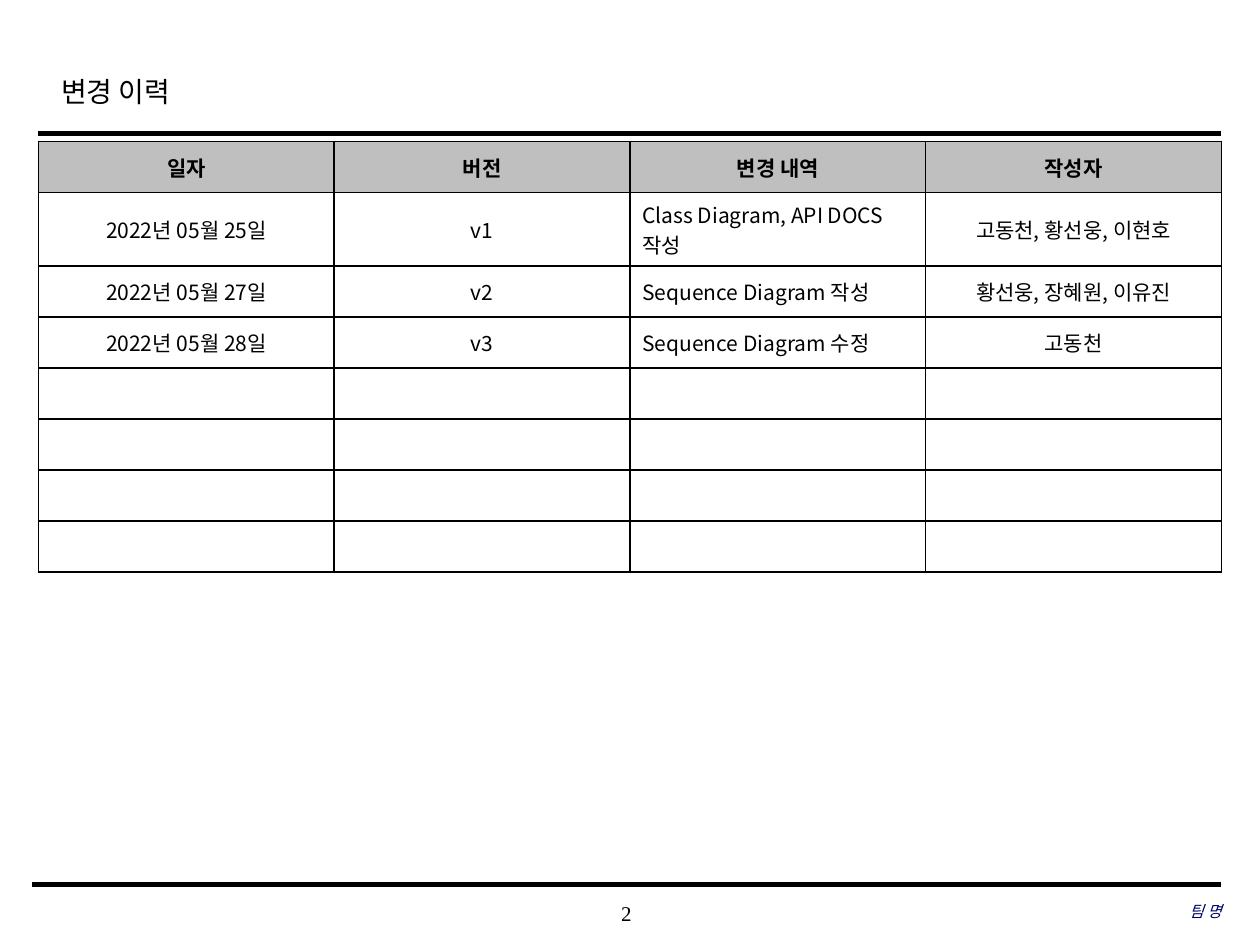
import pptx
import pptx.util
import pptx.dml.color
import pptx.enum.text
import pptx.enum.shapes
import pptx.oxml.ns
import lxml.etree

Pt = pptx.util.Pt
ALIGN = pptx.enum.text.PP_ALIGN
MIDDLE = pptx.enum.text.MSO_ANCHOR.MIDDLE
SANS = "Noto Sans CJK KR"
SERIF = "Times New Roman"
HEADS = ["일자", "버전", "변경 내역", "작성자"]
LOG = [
    ["2022년 05월 25일", "v1", "Class Diagram, API DOCS 작성", "고동천, 황선웅, 이현호"],
    ["2022년 05월 27일", "v2", "Sequence Diagram 작성", "황선웅, 장혜원, 이유진"],
    ["2022년 05월 28일", "v3", "Sequence Diagram 수정", "고동천"],
]
SPARE = 4


def color(code):
    """Turn a hex string into a colour."""
    return pptx.dml.color.RGBColor.from_string(code)


def node(parent, tag, **attrs):
    """Append a DrawingML element."""
    return lxml.etree.SubElement(parent, pptx.oxml.ns.qn(tag), **attrs)


def write(frame, text, size, face=SERIF, align=ALIGN.LEFT, ink="000000", bold=False, italic=False):
    """Fill a text frame with one formatted paragraph."""
    frame.text = text
    para = frame.paragraphs[0]
    para.alignment = align
    for run in para.runs:
        font = run.font
        font.size, font.name = Pt(size), face
        font.bold, font.italic = bold, italic
        font.color.rgb = color(ink)
        node(font._element, "a:ea", typeface=SANS)


def add_title(slide, text):
    """Place and format the title."""
    title = slide.shapes.title
    title.left, title.top, title.width, title.height = Pt(27.8), Pt(32.5), Pt(543.6), Pt(36)
    write(title.text_frame, text, 16)
    title.text_frame.vertical_anchor = MIDDLE
    title.text_frame.paragraphs[0].line_spacing = 1.2


def add_rule(slide, left, right, y, width):
    """Draw a horizontal rule."""
    kind = pptx.enum.shapes.MSO_CONNECTOR.STRAIGHT
    rule = slide.shapes.add_connector(kind, Pt(left), Pt(y), Pt(right), Pt(y))
    rule.line.color.rgb = color("000000")
    rule.line.width = Pt(width)
    node(rule._element.spPr, "a:effectLst")


def add_label(slide, text, left, top, width, size, **style):
    """Add a footer text box without margins."""
    frame = slide.shapes.add_textbox(Pt(left), Pt(top), Pt(width), Pt(23.8)).text_frame
    frame.word_wrap = True
    frame.vertical_anchor = MIDDLE
    frame.margin_left = frame.margin_right = frame.margin_top = frame.margin_bottom = 0
    write(frame, text, size, **style)


def add_border(cell):
    """Outline a cell in black."""
    props = cell._tc.get_or_add_tcPr()
    for side in ("a:lnL", "a:lnR", "a:lnT", "a:lnB"):
        line = node(props, side, w=str(Pt(1)))
        node(node(line, "a:solidFill"), "a:srgbClr", val="000000")


def add_log(slide):
    """Add the change history table, with a taller row for the wrapped entry."""
    rows = [HEADS] + LOG + [[""] * len(HEADS)] * SPARE
    shape = slide.shapes.add_table(len(rows), len(HEADS), Pt(22), Pt(80.8), Pt(676), Pt(233.2))
    table = shape.table
    table.rows[1].height = Pt(42)
    for r, row in enumerate(rows):
        for c, text in enumerate(row):
            cell = table.cell(r, c)
            align = ALIGN.LEFT if r and c == 2 else ALIGN.CENTER
            write(cell.text_frame, text, 12, SANS, align, bold=r == 0)
            cell.vertical_anchor = MIDDLE
            add_border(cell)
            cell.fill.solid()
            cell.fill.fore_color.rgb = color("FFFFFF" if r else "BFBFBF")


def main():
    """Build and save the slide."""
    deck = pptx.Presentation()
    deck.slide_width, deck.slide_height = Pt(720), Pt(540)
    slide = deck.slides.add_slide(deck.slide_layouts[5])
    add_label(slide, "2", 283, 510, 150, 12, align=ALIGN.CENTER)
    add_rule(slide, 22, 698, 76.3, 2.5)
    add_rule(slide, 18, 698, 505.4, 3)
    add_title(slide, "변경 이력")
    add_label(slide, "팀 명", 477.5, 509, 220.5, 9, align=ALIGN.RIGHT, ink="000066", italic=True)
    add_log(slide)
    deck.save("out.pptx")


if __name__ == "__main__":
    main()
